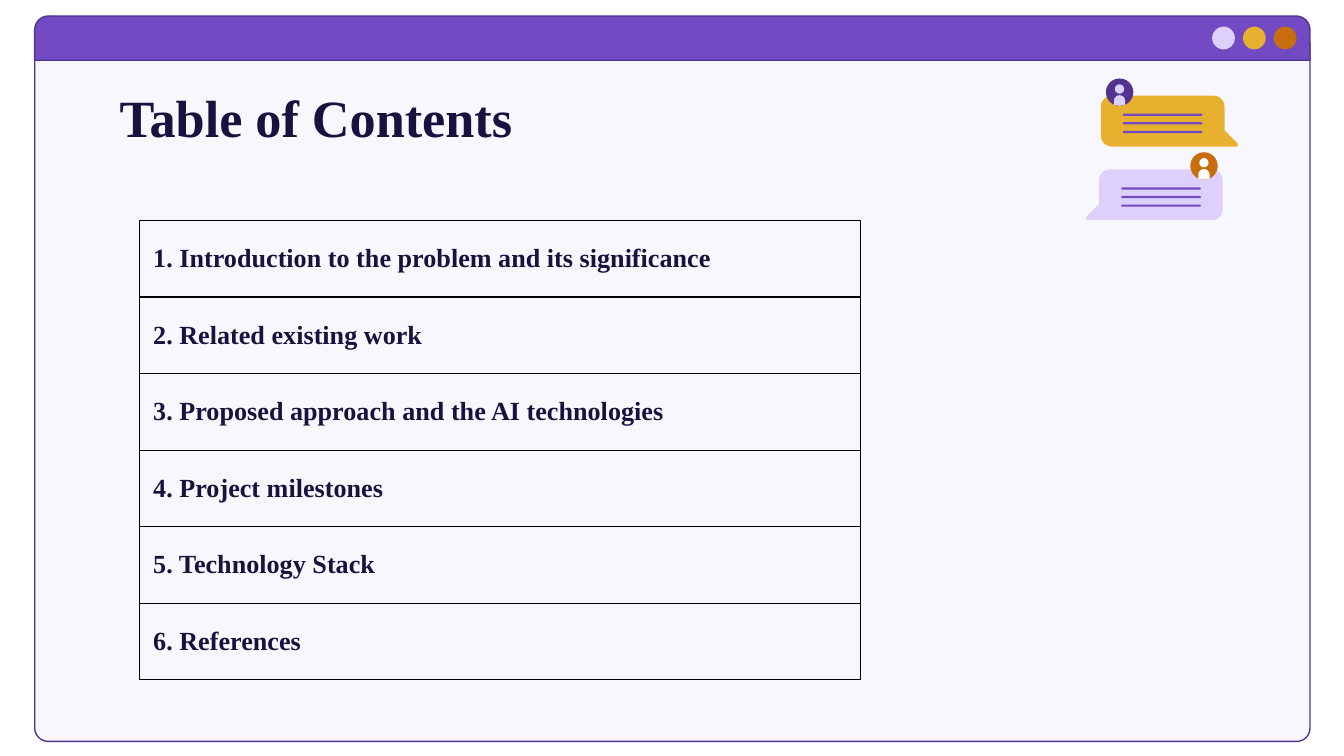
import math

import lxml.etree
import pptx
import pptx.dml.color
import pptx.enum.shapes
import pptx.enum.text
import pptx.oxml.ns
import pptx.util

Pt = pptx.util.Pt
SHAPE = pptx.enum.shapes.MSO_SHAPE
ANCHOR = pptx.enum.text.MSO_ANCHOR

TITLE = "Table of Contents"
CONTENTS = [
    "1. Introduction to the problem and its significance",
    "2. Related existing work",
    "3. Proposed approach and the AI technologies",
    "4. Project milestones",
    "5. Technology Stack",
    "6. References",
]
COLORS = {
    "ink": "1A113F", "purple": "724AC3", "dark purple": "52348F", "lilac": "DDD0FB",
    "gold": "E7B02F", "orange": "C76D0D", "white": "FFFFFF", "border": "000000",
}
WINDOW_BUTTONS = ["lilac", "gold", "orange"]
# The edge is the side of the bubble away from its tail.
BUBBLES = [
    {"edge": 589.8, "top": 51.3, "direction": 1, "fill": "gold",
     "badge": "dark purple", "person": "lilac"},
    {"edge": 655, "top": 90.8, "direction": -1, "fill": "lilac",
     "badge": "orange", "person": "white"},
]
BUBBLE_WIDTH, BUBBLE_HEIGHT, BUBBLE_RADIUS = 66.2, 27.2, 5.8
TABLE_LEFT, TABLE_TOP, TABLE_WIDTH, ROW_HEIGHT = 74.9, 118.1, 385.9, 41.04


def rgb(color):
    return pptx.dml.color.RGBColor.from_string(COLORS[color])


def paint(shape, fill, line=None):
    shape.shadow.inherit = False
    shape.fill.solid()
    shape.fill.fore_color.rgb = rgb(fill)
    if line:
        shape.line.color.rgb = rgb(line)
        shape.line.width = Pt(0.75)
    else:
        shape.line.fill.background()


def add_preset(slide, kind, left, top, width, height, fill, line=None, adjust=()):
    shape = slide.shapes.add_shape(kind, Pt(left), Pt(top), Pt(width), Pt(height))
    for index, value in enumerate(adjust):
        shape.adjustments[index] = value
    paint(shape, fill, line)
    return shape


def add_circle(slide, center_x, center_y, size, fill):
    add_preset(slide, SHAPE.OVAL, center_x - size / 2, center_y - size / 2, size, size, fill)


def add_outline(slide, points, fill):
    scaled = [(round(x * 100), round(y * 100)) for x, y in points]
    builder = slide.shapes.build_freeform(*scaled[0], scale=Pt(1) / 100)
    builder.add_line_segments(scaled[1:], close=True)
    paint(builder.convert_to_shape(), fill)


def arc(center_x, center_y, radius, start, end, steps=8):
    """Points on a circle, angles in degrees clockwise from the right."""
    angles = [math.radians(start + (end - start) * i / steps) for i in range(steps + 1)]
    return [(center_x + radius * math.cos(a), center_y + radius * math.sin(a)) for a in angles]


def add_window(slide):
    body = add_preset(slide, SHAPE.ROUND_2_SAME_RECTANGLE, 18.6, 23, 683.2, 374.2,
                      "lilac", "dark purple", (0.019, 0))
    body.rotation = 180
    color = body.fill._xPr.find(".//" + pptx.oxml.ns.qn("a:srgbClr"))
    lxml.etree.SubElement(color, pptx.oxml.ns.qn("a:alpha"), val="15000")
    add_preset(slide, SHAPE.ROUND_2_SAME_RECTANGLE, 18.6, 8.6, 683.2, 23.7,
               "purple", "dark purple", (0.312, 0))
    for index, color in enumerate(WINDOW_BUTTONS):
        add_circle(slide, 655.5 + 16.5 * index, 20.4, 12.2, color)


def add_title(slide):
    title = slide.shapes.title
    for name, value in {"left": 56.9, "top": 35.3, "width": 607, "height": 45.4}.items():
        setattr(title, name, Pt(value))
    frame = title.text_frame
    for name, value in {"left": 7.2, "top": 10.2, "right": 7.2, "bottom": 3}.items():
        setattr(frame, "margin_" + name, Pt(value))
    frame.vertical_anchor = ANCHOR.TOP
    write(frame, TITLE, 28)
    slide.shapes.element.append(title.element)  # above the window


def write(frame, text, size):
    para = frame.paragraphs[0]
    para.alignment = pptx.enum.text.PP_ALIGN.LEFT
    span = para.add_run()
    span.text = text
    values = {"name": "Times New Roman", "size": Pt(size), "bold": True}
    for name, value in values.items():
        setattr(span.font, name, value)
    span.font.color.rgb = rgb("ink")


def add_borders(cell):
    properties = cell._tc.get_or_add_tcPr()
    for index, side in enumerate(("lnL", "lnR", "lnT", "lnB")):
        line = lxml.etree.Element(pptx.oxml.ns.qn("a:" + side), w=str(Pt(0.75)))
        fill = lxml.etree.SubElement(line, pptx.oxml.ns.qn("a:solidFill"))
        lxml.etree.SubElement(fill, pptx.oxml.ns.qn("a:srgbClr"), val=COLORS["border"])
        properties.insert(index, line)


def add_contents(slide):
    table = slide.shapes.add_table(
        len(CONTENTS), 1, Pt(TABLE_LEFT), Pt(TABLE_TOP),
        Pt(TABLE_WIDTH), Pt(ROW_HEIGHT * len(CONTENTS))).table
    table.first_row = table.horz_banding = False
    for index, text in enumerate(CONTENTS):
        table.rows[index].height = Pt(ROW_HEIGHT)
        cell = table.cell(index, 0)
        cell.fill.background()
        cell.vertical_anchor = ANCHOR.MIDDLE
        for name, value in {"left": 7.2, "right": 7.2, "top": 0, "bottom": 0}.items():
            setattr(cell, "margin_" + name, Pt(value))
        add_borders(cell)
        write(cell.text_frame, text, 14)


def add_bubble(slide, edge, top, direction, fill, badge, person):
    width, height, radius = BUBBLE_WIDTH, BUBBLE_HEIGHT, BUBBLE_RADIUS
    outline = (
        arc(radius, radius, radius, 180, 270)
        + arc(width - radius, radius, radius, 270, 360)
        + [(width, height - 8.6), (width + 7.2, height - 1.4), (width + 6.8, height)]
        + arc(radius, height - radius, radius, 90, 180)
    )
    add_outline(slide, [(edge + direction * x, top + y) for x, y in outline], fill)

    line_length = 42.6
    line_left = edge + direction * (11.7 + line_length / 2) - line_length / 2
    for index in range(3):
        add_preset(slide, SHAPE.ROUNDED_RECTANGLE, line_left, top + 9.6 + 4.6 * index,
                   line_length, 1.2, "purple", adjust=(0.5,))

    center = edge + direction * 10
    add_circle(slide, center, top - 1.9, 14.7, badge)
    add_circle(slide, center, top - 3.6, 5, person)
    torso = arc(center, top + 2.7, 3, 180, 360) + [
        (center + 3, top + 4.9), (center, top + 5.4), (center - 3, top + 4.9)]
    add_outline(slide, torso, person)


def main():
    deck = pptx.Presentation()
    deck.slide_width, deck.slide_height = Pt(720), Pt(405)
    slide = deck.slides.add_slide(deck.slide_layouts[5])
    add_window(slide)
    add_title(slide)
    add_contents(slide)
    for bubble in BUBBLES:
        add_bubble(slide, **bubble)
    deck.save("out.pptx")


if __name__ == "__main__":
    main()
